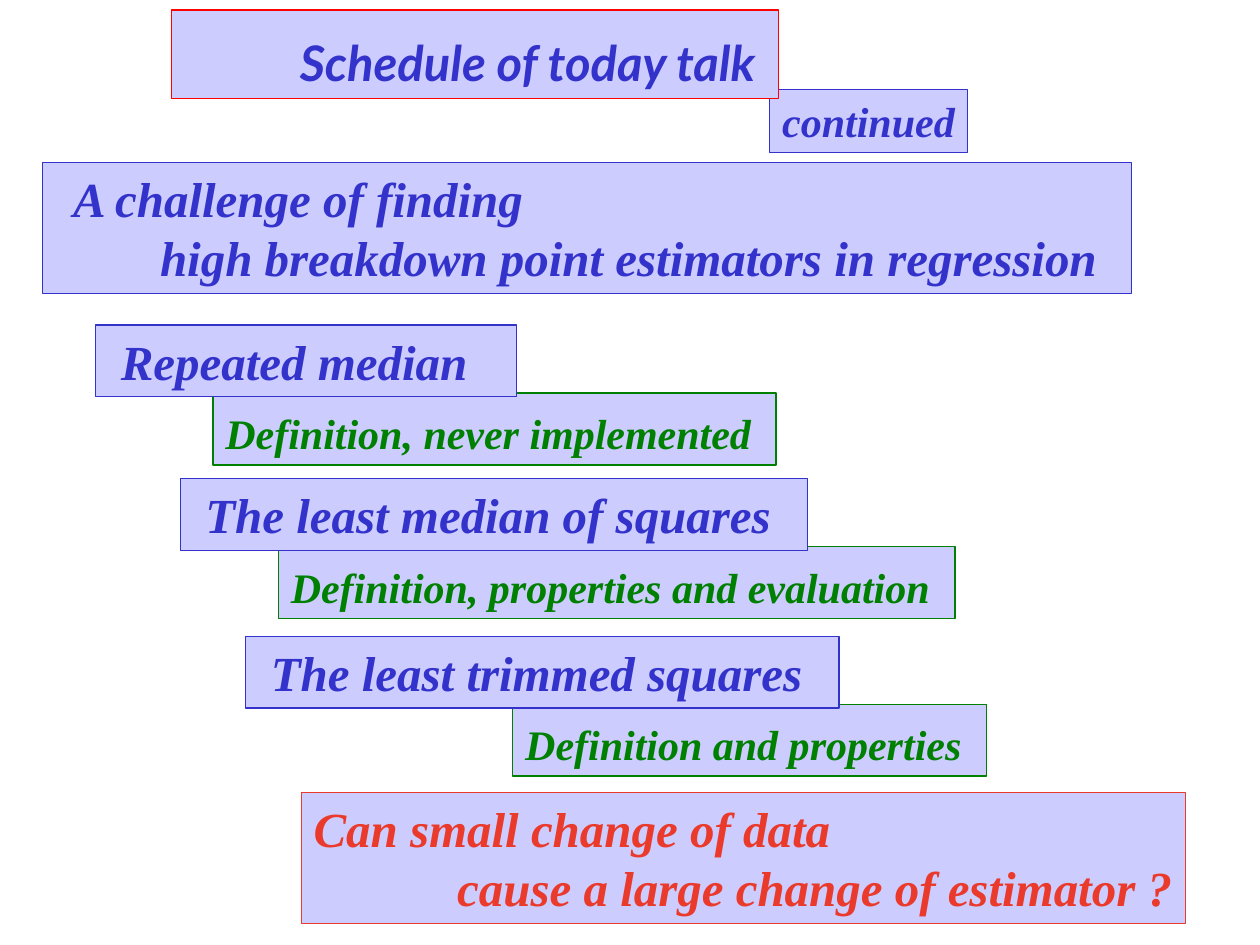
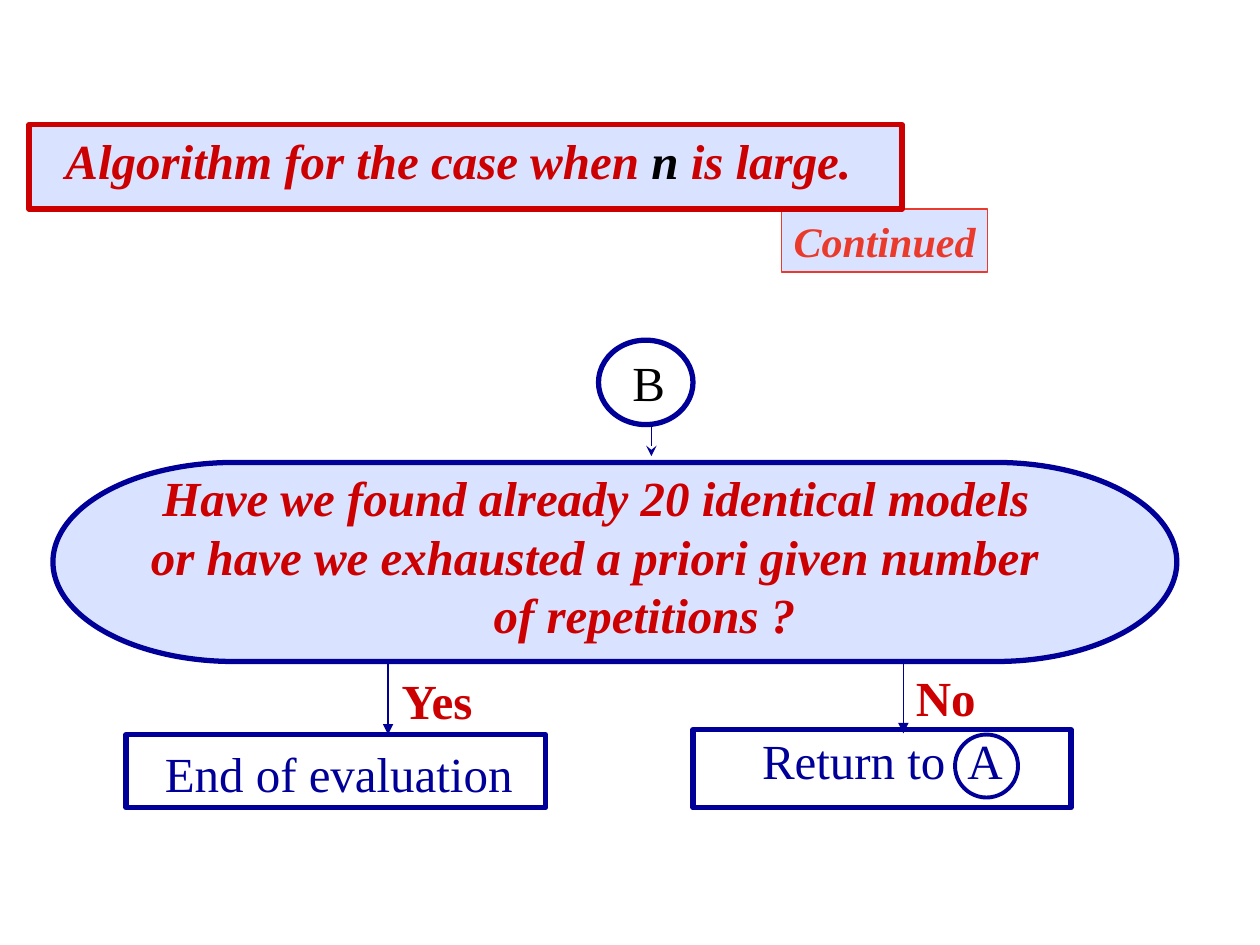
from lxml.etree import SubElement
from pptx import Presentation
from pptx.dml.color import RGBColor
from pptx.enum.shapes import MSO_CONNECTOR, MSO_SHAPE as SHAPE
from pptx.enum.text import MSO_ANCHOR, PP_ALIGN
from pptx.oxml.ns import qn
from pptx.util import Inches, Pt

COLORS = {
    "lavender": "CCCCFF", "pale": "D9E3FF", "indigo": "3333CC", "navy": "000099",
    "green": "008000", "red": "FF0000", "crimson": "CC0000", "coral": "EA3A2C",
    "black": "000000",
}


class Deck:
    """Holds the shared style and the slide being built."""

    def __init__(self):
        self.prs = Presentation()
        self.prs.slide_width, self.prs.slide_height = Inches(10), Inches(7.5)
        self.font, self.size = "Times New Roman", 28

    def new_slide(self):
        self.slide = self.prs.slides.add_slide(self.prs.slide_layouts[6])

    def rgb(self, color):
        return RGBColor.from_string(COLORS[color])

    def outline(self, kind, at, line, width=3, fill=None):
        shape = self.slide.shapes.add_shape(kind, *map(Inches, at))
        shape.shadow.inherit = False
        shape.line.color.rgb = self.rgb(line)
        shape.line.width = Pt(width)
        if fill:
            shape.fill.solid()
            shape.fill.fore_color.rgb = self.rgb(fill)
        else:
            shape.fill.background()
        return shape

    def set_lines(self, shape, lines, color, size=None, font=None, pitch=33.6,
                  inset=0.1, indents=(), bold=True, italic=True):
        frame = shape.text_frame
        frame.word_wrap = True
        frame.vertical_anchor = MSO_ANCHOR.TOP
        frame.margin_left, frame.margin_right = Inches(inset), 0
        frame.text = "\n".join(lines)
        for number, paragraph in enumerate(frame.paragraphs):
            paragraph.alignment = PP_ALIGN.LEFT
            paragraph.line_spacing = Pt(pitch)
            if number < len(indents):
                properties = paragraph._p.get_or_add_pPr()
                properties.set("marL", str(Inches(indents[number])))
                properties.set("indent", "0")
            for run in paragraph.runs:
                self.style(run, color, size, font, bold, italic)

    def style(self, run, color, size=None, font=None, bold=True, italic=True):
        run.font.name = font or self.font
        run.font.size = Pt(size or self.size)
        run.font.bold, run.font.italic = bold, italic
        run.font.color.rgb = self.rgb(color)

    def panel(self, at, lines, color, fill="lavender", line=None, width=0.75, **style):
        shape = self.outline(SHAPE.RECTANGLE, at, line or color, width, fill)
        self.set_lines(shape, lines, color, **style)
        return shape

    def label(self, at, lines, color, **style):
        shape = self.slide.shapes.add_textbox(*map(Inches, at))
        self.set_lines(shape, lines, color, **style)

    def arrow(self, x, top, bottom, head="triangle"):
        link = self.slide.shapes.add_connector(
            MSO_CONNECTOR.STRAIGHT, *map(Inches, (x, top, x, bottom)))
        link.line.color.rgb = self.rgb("navy")
        link.line.width = Pt(0.75)
        SubElement(link.line._get_or_add_ln(), qn("a:tailEnd"), type=head)
        SubElement(link._element.spPr, qn("a:effectLst"))


def build_schedule(deck):
    """Draw the staggered list of topics."""
    deck.new_slide()
    deck.panel((6.11, 0.71, 1.57, 0.5), ["continued"], "indigo", size=24, pitch=28.8)
    deck.panel((1.36, 0.08, 4.82, 0.7), ["Schedule of today talk"], "indigo",
               line="red", font="Lato", pitch=43.2, inset=1.02)
    deck.panel((0.34, 1.29, 8.64, 1.04),
               ["A challenge of finding", "high breakdown point estimators in regression"],
               "indigo", inset=0.24, indents=(0, 0.69))
    topics = [
        (0.76, 2.58, 3.34, "Repeated median", 1.69, 4.47, "Definition, never implemented"),
        (1.43, 3.8, 4.98, "The least median of squares",
         2.21, 5.37, "Definition, properties and evaluation"),
        (1.95, 5.05, 4.71, "The least trimmed squares", 4.07, 3.76, "Definition and properties"),
    ]
    for left, top, width, topic, detail_left, detail_width, detail in topics:
        deck.panel((detail_left, top + 0.54, detail_width, 0.57), [detail], "green", size=24)
        deck.panel((left, top, width, 0.57), [topic], "indigo", inset=0.2)
    deck.panel((2.39, 6.29, 7.02, 1.04),
               ["Can small change of data", "cause a large change of estimator ?"],
               "coral", indents=(0, 1.14))


def build_algorithm(deck):
    """Draw the stopping rule as a flow chart."""
    plain = dict(bold=False, italic=False)
    deck.new_slide()
    deck.outline(SHAPE.FLOWCHART_TERMINATOR, (0.42, 3.67, 8.92, 1.58), "navy", fill="pale")
    deck.outline(SHAPE.FLOWCHART_CONNECTOR, (4.75, 2.7, 0.75, 0.67), "navy")
    deck.label((4.92, 2.75, 0.5, 0.57), ["B"], "black", **plain)
    deck.arrow(5.17, 3.37, 3.62, "stealth")

    deck.outline(SHAPE.RECTANGLE, (1, 5.83, 3.33, 0.58), "navy")
    deck.arrow(3.08, 5.25, 5.83)
    deck.label((3.09, 5.27, 0.8, 0.57), ["Yes"], "crimson", italic=False)
    deck.outline(SHAPE.RECTANGLE, (5.5, 5.79, 3, 0.62), "navy")
    deck.arrow(7.17, 5.23, 5.82)
    deck.label((7.17, 5.25, 0.67, 0.57), ["No"], "crimson", italic=False)

    deck.label((1.21, 5.85, 2.96, 0.57), ["End of evaluation"], "navy", **plain)
    deck.label((5.95, 5.75, 1.63, 0.57), ["Return to"], "navy", **plain)
    deck.label((7.58, 5.75, 0.5, 0.57), ["A"], "navy", **plain)
    deck.outline(SHAPE.FLOWCHART_CONNECTOR, (7.58, 5.83, 0.5, 0.5), "navy", 2.25)

    deck.panel((6.2, 1.66, 1.64, 0.5), ["Continued"], "coral", fill="pale",
               size=24, pitch=28.8)
    heading = deck.panel((0.23, 0.99, 6.93, 0.67), ["Algorithm for the case when "],
                         "crimson", fill="pale", width=3, inset=0.29)
    for part, color in (("n", "black"), (" is large.", "crimson")):
        run = heading.text_frame.paragraphs[0].add_run()
        run.text = part
        deck.style(run, color)
    deck.label((1, 3.66, 7.44, 1.5),
               ["Have we found already 20 identical models",
                "or have we exhausted a priori given number",
                "of repetitions ?"],
               "crimson", indents=(0.19, 0.1, 2.82))


def main():
    """Build both slides and save them."""
    deck = Deck()
    build_schedule(deck)
    build_algorithm(deck)
    deck.prs.save("out.pptx")


if __name__ == "__main__":
    main()
